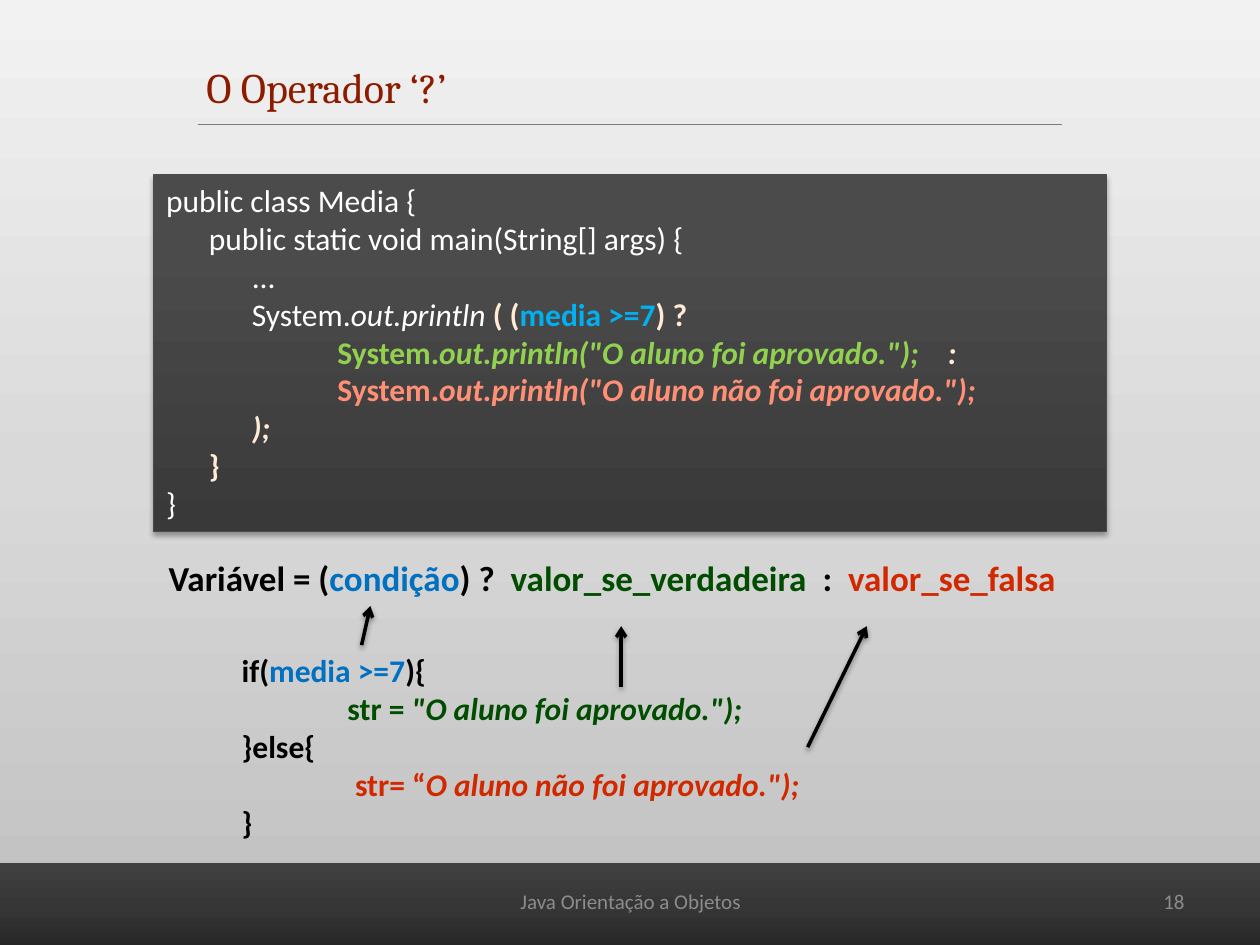
from lxml.etree import SubElement
from pptx import Presentation
from pptx.dml.color import RGBColor
from pptx.enum.shapes import MSO_CONNECTOR, MSO_SHAPE
from pptx.enum.text import MSO_ANCHOR, PP_ALIGN
from pptx.oxml.ns import qn
from pptx.util import Inches, Pt

rgb = RGBColor.from_string
CREAM, WHITE, BLACK = "FFEBD6", "FFFFFF", "000000"
GREEN, RED, BLUE = "004D00", "D22800", "0070C0"
LIME, SALMON, GREY = "92D050", "FF8F75", "8C8C8C"


def write(tf, lines, size, font="Calibri", align=PP_ALIGN.LEFT):
    """Each line is (indent in inches, runs); a run is (text, colour, style[, spacing])."""
    for i, (indent, runs) in enumerate(lines):
        p = tf.paragraphs[0] if i == 0 else tf.add_paragraph()
        p.alignment = align
        p.font.size, p.font.name = Pt(size), font
        if indent:
            p._p.get_or_add_pPr().set("marL", str(Inches(indent)))
        for text, color, style, *spacing in runs:
            r = p.add_run()
            r.text = text
            r.font.color.rgb = rgb(color)
            r.font.bold, r.font.italic = "b" in style, "i" in style
            if spacing:
                r.font._element.set("spc", str(int(spacing[0] * 100)))


def add_shadow(spPr, alpha, dist):
    effects = spPr.find(qn("a:effectLst"))
    if effects is None:
        effects = SubElement(spPr, qn("a:effectLst"))
    shadow = SubElement(effects, qn("a:outerShdw"), blurRad=str(Pt(3.1)),
                        dist=str(Pt(dist)), dir="5400000", rotWithShape="0")
    color = SubElement(shadow, qn("a:srgbClr"), val=BLACK)
    SubElement(color, qn("a:alpha"), val=str(alpha * 1000))


prs = Presentation()
prs.slide_width, prs.slide_height = Inches(10), Inches(7.5)
s = prs.slides.add_slide(prs.slide_layouts[6])

# Footer band
band = s.shapes.add_shape(MSO_SHAPE.RECTANGLE, Inches(-0.12), Inches(6.85),
                          Inches(10.24), Inches(0.68))
band.line.fill.background()

# Title rule
rule = s.shapes.add_connector(MSO_CONNECTOR.STRAIGHT, Inches(1.57), Inches(0.99),
                              Inches(8.43), Inches(0.99))
rule.line.color.rgb = rgb("7C7C7C")
rule.line.width = Pt(0.75)
SubElement(rule.element.spPr, qn("a:effectLst"))

# Code box
STEP = 0.34
code = s.shapes.add_shape(MSO_SHAPE.RECTANGLE, Inches(1.22), Inches(1.39),
                          Inches(7.56), Inches(2.83))
code.line.color.rgb = rgb("4B4B4B")
code.line.width = Pt(0.75)
code.text_frame.vertical_anchor = MSO_ANCHOR.TOP
write(code.text_frame, [
    (0, [("public class Media {", WHITE, "")]),
    (STEP, [("public static void main(String[] args) {", WHITE, "")]),
    (2 * STEP, [("...", WHITE, "")]),
    (2 * STEP, [("System.", WHITE, ""), ("out.println ", WHITE, "i"), ("( (", CREAM, "b"),
                ("media >=7", "00B0F0", "b"), (") ?", CREAM, "b")]),
    (4 * STEP, [("System.", LIME, "b"), ('out.println("O aluno foi aprovado.");', LIME, "bi"),
                (" ", LIME, "bi", 12.2), (":", CREAM, "bi")]),
    (4 * STEP, [("System.", SALMON, "b"),
                ('out.println("O aluno não foi aprovado.");', SALMON, "bi")]),
    (2 * STEP, [(");", CREAM, "bi")]),
    (STEP, [("}", CREAM, "b")]),
    (0, [("}", WHITE, "")]),
], 18)

# Gradients of the background, the band and the code box
for fill, element, stops, angle in [
    (s.background.fill, s.element.cSld.find(qn("p:bg")),
     [(0, "F2F2F2"), (50, "D9D9D9"), (100, "BFBFBF")], 90),
    (band.fill, band.element, [(0, "262626"), (50, "363636"), (100, "404040")], 270),
    (code.fill, code.element, [(0, "393939"), (80, "4B4B4B"), (100, "4B4B4B")], 270),
]:
    fill.gradient()
    if element is None:
        element = s.element.cSld.find(qn("p:bg"))
    grad = element.find(".//" + qn("a:gradFill"))
    grad.clear()
    stop_list = SubElement(grad, qn("a:gsLst"))
    for pos, color in stops:
        stop = SubElement(stop_list, qn("a:gs"), pos=str(pos * 1000))
        SubElement(stop, qn("a:srgbClr"), val=color)
    SubElement(grad, qn("a:lin"), ang=str(angle * 60000), scaled="0")

for sp in (band, code):
    sp.shadow.inherit = False
    add_shadow(sp.element.spPr, 35, 1.8)

# Title, footer, syntax line and equivalent if/else
TOP, MIDDLE = MSO_ANCHOR.TOP, MSO_ANCHOR.MIDDLE
LEFT, CENTER, RIGHT = PP_ALIGN.LEFT, PP_ALIGN.CENTER, PP_ALIGN.RIGHT
syntax = [("Variável = (", BLACK, "b"), ("condição", BLUE, "b"), (") ?", BLACK, "b"),
          (" ", BLACK, "b", 4.5), ("valor_se_verdadeira", GREEN, "b"),
          (" ", BLACK, "b", 4.5), (":", BLACK, "b"), (" ", BLACK, "b", 4.5),
          ("valor_se_falsa", RED, "b")]
if_else = [
    (0.06, [("if(", BLACK, "b"), ("media >=7", BLUE, "b"), ("){", BLACK, "b")]),
    (0.9, [("str = ", GREEN, "b"), ('"O aluno foi aprovado.");', GREEN, "bi")]),
    (0.06, [("}else{", BLACK, "b")]),
    (0.96, [("str= “", RED, "b"), ('O aluno não foi aprovado.");', RED, "bi")]),
    (0.06, [("}", BLACK, "b")]),
]
for box, lines, size, font, align, anchor, wrap in [
    ((1.54, 0.44, 2.35, 0.5), [(0, [("O Operador ‘?’", "8C1B00", "")])],
     24, "Cambria", LEFT, TOP, False),
    ((7.17, 6.95, 2.33, 0.4), [(0, [("18", GREY, "")])], 12, "Calibri", RIGHT, MIDDLE, True),
    ((3.42, 6.95, 3.17, 0.4), [(0, [("Java Orientação a Objetos", GREY, "")])],
     12, "Calibri", CENTER, MIDDLE, True),
    ((1.24, 4.37, 7.38, 0.44), [(0, syntax)], 20, "Calibri", LEFT, TOP, True),
    ((1.76, 5.12, 6.34, 1.62), if_else, 18, "Calibri", LEFT, TOP, True),
]:
    tf = s.shapes.add_textbox(*map(Inches, box)).text_frame
    tf.word_wrap = wrap
    tf.vertical_anchor = anchor
    write(tf, lines, size, font, align)

# Arrows from the if/else parts to the syntax parts
for ends in [(2.87, 5.12, 2.94, 4.81), (4.93, 5.45, 4.93, 4.97), (6.41, 5.93, 6.88, 4.97)]:
    arrow = s.shapes.add_connector(MSO_CONNECTOR.STRAIGHT, *map(Inches, ends))
    arrow.line.color.rgb = rgb(BLACK)
    arrow.line.width = Pt(2)
    SubElement(arrow.line._get_or_add_ln(), qn("a:tailEnd"), type="arrow")
    add_shadow(arrow.element.spPr, 38, 1.6)

prs.save("out.pptx")
